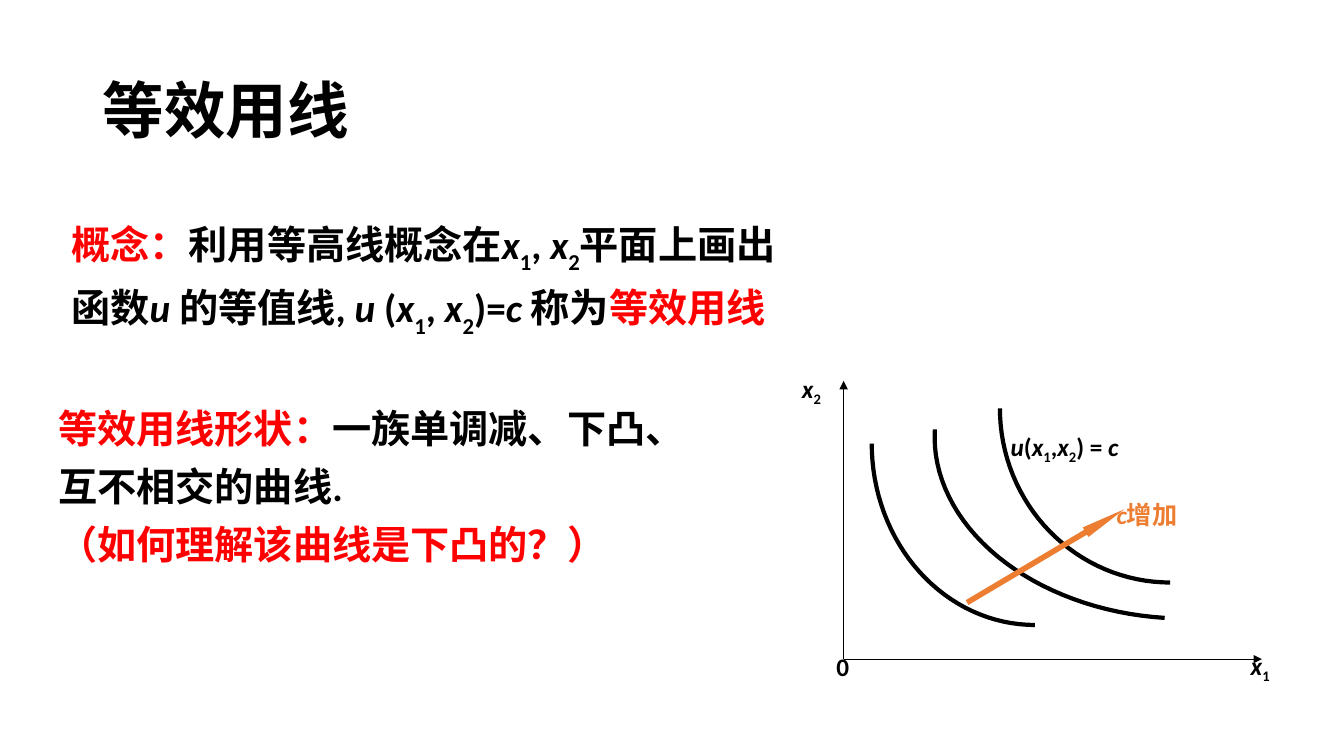
from dataclasses import dataclass
from math import cos, pi, sin

from lxml.etree import SubElement
from pptx import Presentation
from pptx.dml.color import RGBColor
from pptx.enum.lang import MSO_LANGUAGE_ID as Language
from pptx.enum.shapes import MSO_CONNECTOR as Connector, MSO_SHAPE as Preset
from pptx.enum.text import MSO_ANCHOR as Anchor
from pptx.oxml.ns import qn
from pptx.slide import Slide
from pptx.util import Cm, Pt

BLACK = RGBColor(0x00, 0x00, 0x00)
RED = RGBColor(0xFF, 0x00, 0x00)
ORANGE = RGBColor(0xED, 0x7D, 0x31)
LABEL_HEIGHT = 1.27
CURVE_STEPS = 32


@dataclass(frozen=True)
class Run:
    text: str
    color: RGBColor = BLACK
    italic: bool = False
    baseline: int = 0


@dataclass(frozen=True)
class TextBlock:
    left: float
    top: float
    width: float
    height: float
    paragraphs: list[list[Run]]
    size: int = 18
    font: str = "Calibri"
    line_spacing: float = 1.0
    gap: float = 0
    anchor: Anchor = Anchor.TOP


@dataclass(frozen=True)
class Curve:
    left: float
    top: float
    width: float
    height: float
    rotation: float = 0


def italic(text: str, color: RGBColor = BLACK) -> Run:
    return Run(text, color, italic=True)


def variable(index: int, drop: int, prefix: str = "") -> list[Run]:
    return [italic(prefix + "x"), Run(str(index), baseline=drop)]


def variable_pair(drop: int, prefix: str = "") -> list[Run]:
    return [*variable(1, drop), Run(","), *variable(2, drop, prefix)]


def add_text(slide: Slide, block: TextBlock) -> None:
    shape = slide.shapes.add_textbox(
        Cm(block.left), Cm(block.top), Cm(block.width), Cm(block.height))
    frame = shape.text_frame
    frame.word_wrap = True
    frame.vertical_anchor = block.anchor
    for index, runs in enumerate(block.paragraphs):
        paragraph = frame.add_paragraph() if index else frame.paragraphs[0]
        paragraph.line_spacing = block.line_spacing
        if index:
            paragraph.space_before = Pt(block.gap)
        for item in runs:
            run = paragraph.add_run()
            run.text = item.text
            font = run.font
            font.size = Pt(block.size)
            font.bold = True
            font.italic = item.italic
            font.color.rgb = item.color
            font.name = block.font
            font.language_id = Language.SIMPLIFIED_CHINESE
            properties = run._r.get_or_add_rPr()
            SubElement(properties, qn("a:ea")).set("typeface", block.font)
            if item.baseline:
                properties.set("baseline", str(item.baseline * 1000))


def add_axis(slide: Slide, end_x: float, end_y: float) -> None:
    axis = slide.shapes.add_connector(
        Connector.STRAIGHT, Cm(ORIGIN_X), Cm(ORIGIN_Y), Cm(end_x), Cm(end_y))
    axis.line.color.rgb = BLACK
    axis.line.width = Pt(0.75)
    SubElement(axis.line._get_or_add_ln(), qn("a:tailEnd")).set("type", "triangle")
    SubElement(axis._element.spPr, qn("a:effectLst"))


def add_curve(slide: Slide, curve: Curve) -> None:
    angles = [pi / 2 * step / CURVE_STEPS for step in range(CURVE_STEPS + 1)]
    points = [(Cm(curve.left + curve.width * (1 - sin(angle))),
               Cm(curve.top + curve.height * cos(angle))) for angle in angles]
    builder = slide.shapes.build_freeform(*points[0])
    builder.add_line_segments(points[1:], close=False)
    shape = builder.convert_to_shape()
    shape.rotation = curve.rotation
    shape.shadow.inherit = False
    shape.fill.background()
    shape.line.color.rgb = BLACK
    shape.line.width = Pt(3)


def add_growth_arrow(slide: Slide) -> None:
    arrow = slide.shapes.add_shape(
        Preset.RIGHT_ARROW, Cm(24.05), Cm(13.87), Cm(4.6), Cm(0.28))
    arrow.adjustments[0] = 0.5
    arrow.adjustments[1] = 4.02
    arrow.rotation = 329.3
    arrow.shadow.inherit = False
    arrow.fill.solid()
    arrow.fill.fore_color.rgb = ORANGE
    arrow.line.fill.background()


ORIGIN_X, ORIGIN_Y = 21.26, 16.61

CURVES = [
    Curve(23.42, 11, 6.07, 4.39, 3.5),
    Curve(21.97, 11.18, 4.11, 4.57),
    Curve(25.2, 10.29, 4.29, 4.39),
]

TITLE = TextBlock(2.34, 1.02, 25.37, 3.68, [[Run("等效用线")]], size=44,
                  font="Noto Sans CJK SC", line_spacing=0.9, anchor=Anchor.MIDDLE)

LABELS = [
    TextBlock(20.83, 16.28, 1.24, LABEL_HEIGHT, [[Run("0")]]),
    TextBlock(19.96, 9.27, 1.47, LABEL_HEIGHT, [variable(2, -25)]),
    TextBlock(31.27, 16.26, 1.6, LABEL_HEIGHT, [variable(1, -25)]),
    TextBlock(25.22, 10.74, 4.83, LABEL_HEIGHT, [
        [italic("u"), Run("("), *variable_pair(-25), Run(") = "), italic("c")]]),
    TextBlock(27.89, 12.47, 2.79, LABEL_HEIGHT, [
        [italic("c", ORANGE), Run("增加", ORANGE)]]),
]

CONCEPT = TextBlock(1.55, 5.21, 19.05, 3, [[
    Run("概念：", RED), Run("利用等高线概念在"), *variable_pair(-30, " "),
    Run("平面上画出函数"), italic("u "), Run("的等值线, "), italic("u"), Run(" ("),
    *variable_pair(-30, " "), Run(")="), italic("c "), Run("称为"),
    Run("等效用线", RED),
]], size=28, line_spacing=1.15)

CURVE_SHAPE = TextBlock(1.22, 9.88, 17.09, 4.65, [
    [Run("等效用线形状：", RED), Run("一族单调减、下凸、")],
    [Run("互不相交的曲线.")],
    [Run("（如何理解该曲线是下凸的？）", RED)],
], size=28, line_spacing=1.15, gap=2.8)


def main() -> None:
    presentation = Presentation()
    presentation.slide_width = Cm(33.87)
    presentation.slide_height = Cm(19.05)
    slide = presentation.slides.add_slide(presentation.slide_layouts[6])
    add_text(slide, TITLE)
    add_axis(slide, 31.8, ORIGIN_Y)
    add_axis(slide, ORIGIN_X, 9.6)
    for curve in CURVES:
        add_curve(slide, curve)
    add_growth_arrow(slide)
    for block in [*LABELS, CONCEPT, CURVE_SHAPE]:
        add_text(slide, block)
    presentation.save("out.pptx")


if __name__ == "__main__":
    main()
